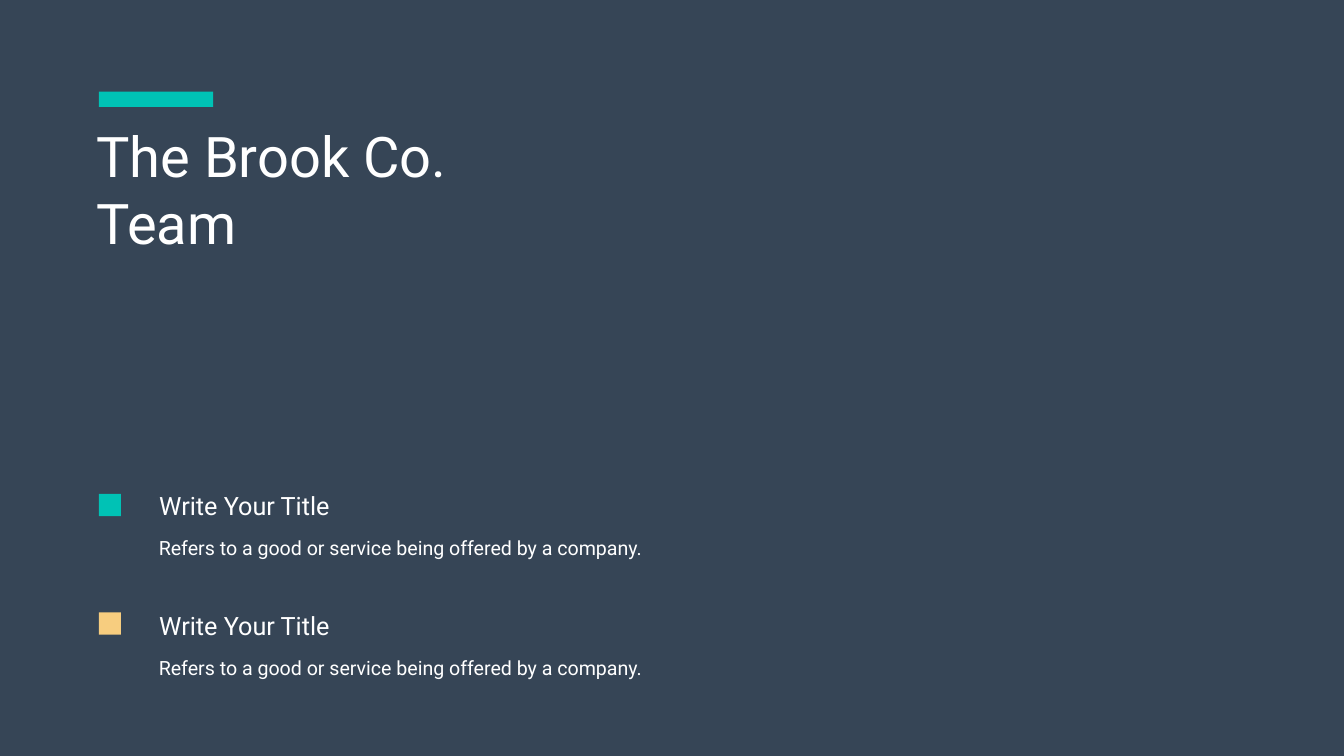
from pptx import Presentation
from pptx.dml.color import RGBColor
from pptx.enum.shapes import MSO_SHAPE
from pptx.enum.text import MSO_ANCHOR, MSO_AUTO_SIZE, PP_ALIGN
from pptx.util import Pt

SLATE = RGBColor(0x36, 0x45, 0x56)
TEAL = RGBColor(0x00, 0xC2, 0xB5)
SAND = RGBColor(0xF7, 0xCD, 0x7F)
WHITE = RGBColor(0xFF, 0xFF, 0xFF)

TITLE = "The Brook Co. Team"
ITEMS = [
    ("Write Your Title", "Refers to a good or service being offered by a company.", TEAL),
    ("Write Your Title", "Refers to a good or service being offered by a company.", SAND),
]

WIDTH, HEIGHT = 1919.52, 1080
MARGIN = 141.12
MARKER = 31.68
FIRST_MARKER_TOP, MARKER_STEP = 705.6, 169.2
FIRST_HEADING_TOP, HEADING_STEP = 696.96, 170.64
HEADING_HEIGHT = 51.12

HEADING_FRAME = {"margin_left": Pt(7.2), "margin_right": Pt(7.2),
                 "margin_top": Pt(3.6), "margin_bottom": Pt(3.6)}
DETAIL_FRAME = {"margin_left": Pt(17.28), "margin_right": Pt(17.28),
                "margin_top": Pt(8.64), "margin_bottom": Pt(8.64)}


def set_values(target, values):
    for name, value in values.items():
        setattr(target, name, value)


def add_block(slide, left, top, width, height, color):
    block = slide.shapes.add_shape(
        MSO_SHAPE.RECTANGLE, Pt(left), Pt(top), Pt(width), Pt(height))
    block.shadow.inherit = False
    block.fill.solid()
    block.fill.fore_color.rgb = color
    block.line.fill.background()
    return block


def write_text(shape, text, size, frame_values, line_spacing=1.0):
    frame = shape.text_frame
    set_values(frame, {"word_wrap": True, "auto_size": MSO_AUTO_SIZE.NONE,
                       "vertical_anchor": MSO_ANCHOR.TOP, **frame_values})
    paragraph = frame.paragraphs[0]
    paragraph.text = text
    set_values(paragraph, {"alignment": PP_ALIGN.LEFT, "line_spacing": line_spacing})
    set_values(paragraph.font, {"name": "Roboto", "size": Pt(size)})
    paragraph.font.color.rgb = WHITE


def add_text(slide, left, top, width, height, *text_format):
    box = slide.shapes.add_textbox(Pt(left), Pt(top), Pt(width), Pt(height))
    write_text(box, *text_format)


def main():
    presentation = Presentation()
    set_values(presentation, {"slide_width": Pt(WIDTH), "slide_height": Pt(HEIGHT)})
    slide = presentation.slides.add_slide(presentation.slide_layouts[5])

    title = slide.shapes.title
    backdrop = add_block(slide, 0, 0, WIDTH, HEIGHT, SLATE)
    title.element.addprevious(backdrop.element)
    set_values(title, {"left": Pt(130.32), "top": Pt(169.92),
                       "width": Pt(561.6), "height": Pt(200.88)})
    write_text(title, TITLE, 80, HEADING_FRAME)
    add_block(slide, MARGIN, 131.04, 163.44, 21.6, TEAL)

    for index, (heading, detail, color) in enumerate(ITEMS):
        heading_top = FIRST_HEADING_TOP + index * HEADING_STEP
        marker_top = FIRST_MARKER_TOP + index * MARKER_STEP
        add_text(slide, 209.52, heading_top + HEADING_HEIGHT, 743.04, 56.88,
                 detail, 28, DETAIL_FRAME, Pt(43))
        add_text(slide, 220.32, heading_top, 337.68, HEADING_HEIGHT,
                 heading, 36, HEADING_FRAME)
        add_block(slide, MARGIN, marker_top, MARKER, MARKER, color)

    presentation.save("out.pptx")


if __name__ == "__main__":
    main()
